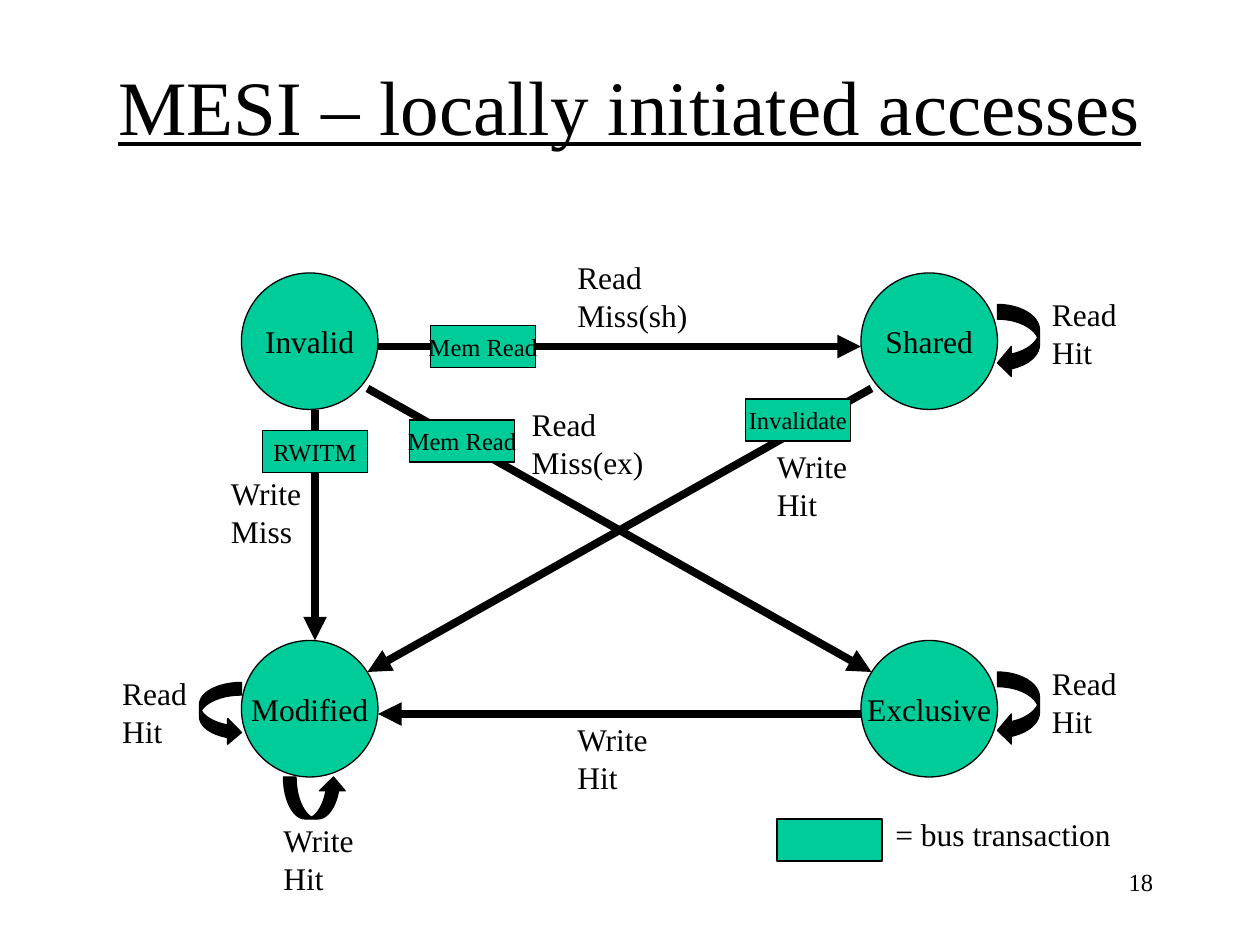
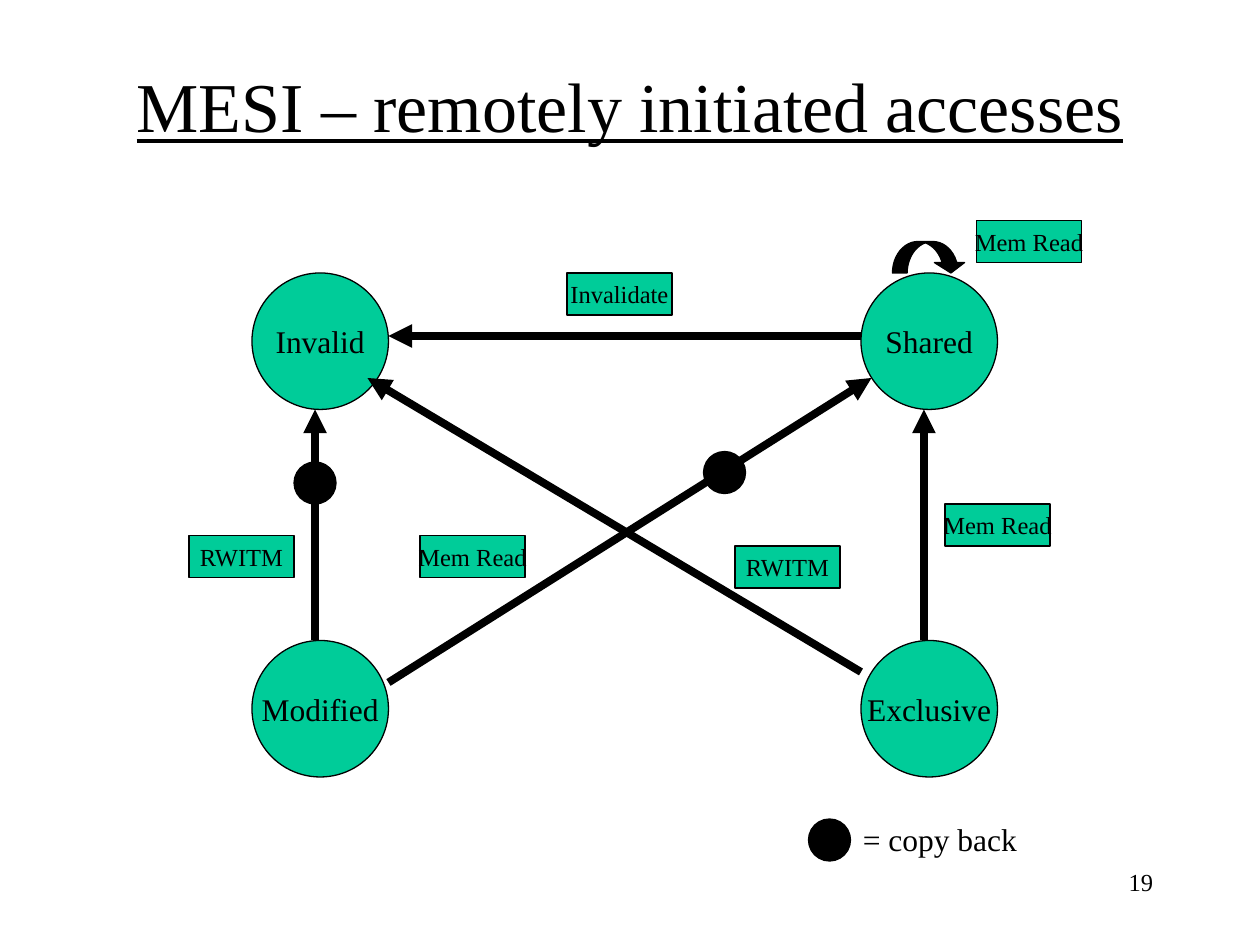
from lxml.etree import SubElement
from pptx import Presentation
from pptx.dml.color import RGBColor
from pptx.enum.shapes import MSO_CONNECTOR, MSO_SHAPE
from pptx.enum.text import MSO_ANCHOR, PP_ALIGN
from pptx.oxml.ns import qn
from pptx.util import Inches, Pt

WIDE, HIGH = 10, 7.5
COLS = 120
CELL = WIDE / COLS
FONT = "Times New Roman"
HUES = {"ink": "000000", "node": "00CC99"}
TITLE = (9, 2.5, 102, 15)
PAGE = (86, 82, 25, 6)
RING, DOT, TAG = (13, 13), (4, 4), (10, 4)
LEFT, RIGHT = MSO_SHAPE.CURVED_LEFT_ARROW, MSO_SHAPE.CURVED_RIGHT_ARROW
UP, DOWN = MSO_SHAPE.CURVED_UP_ARROW, MSO_SHAPE.CURVED_DOWN_ARROW
STATES = [("Invalid", 0, 0), ("Modified", 0, 1),
          ("Exclusive", 1, 1), ("Shared", 1, 0)]
ROWS = (26, 61)

SLIDES = [
    {
        "title": "MESI – locally initiated accesses", "size": 44, "page": 18,
        "cols": (23, 82),
        "lines": [(36, 33, 82, 33), (30, 39, 30, 61), (82, 68, 36, 68),
                  (35, 37, 83, 64), (83, 37, 35, 64)],
        "loops": [(LEFT, 95, 29, 4, 7), (LEFT, 95, 64, 4, 7),
                  (RIGHT, 19, 65, 4, 6), (UP, 27, 74, 6, 4)],
        "notes": [(["Read", "Hit"], 99, 27.5, 8.7),
                  (["Read", "Hit"], 99, 62.65, 8.7),
                  (["Read", "Hit"], 10.45, 63.6, 8.7),
                  (["Read", "Miss(sh)"], 53.8, 24, 13),
                  (["Read", "Miss(ex)"], 49.45, 38, 13.2),
                  (["Write", "Hit"], 25.8, 77.65, 9.3),
                  (["Write", "Hit"], 53.8, 68, 9.3),
                  (["Write", "Hit"], 72.8, 42, 9.3),
                  (["Write", "Miss"], 20.8, 44.6, 9.3),
                  (["= bus transaction"], 84.1, 77, 23)],
        "tags": [("RWITM", 25, 41), ("Invalidate", 71, 38),
                 ("Mem Read", 41, 31), ("Mem Read", 39, 40), ("", 74, 78)],
        "dots": [],
    },
    {
        "title": "MESI – remotely initiated accesses", "size": 40, "page": 19,
        "cols": (24, 82),
        "lines": [(30, 61, 30, 39), (82, 32, 37, 32), (88, 61, 88, 39),
                  (37, 65, 83, 36), (82, 64, 35, 36)],
        "loops": [(DOWN, 85, 23, 7, 3)],
        "notes": [(["= copy back"], 81, 77.5, 17.2)],
        "tags": [("Mem Read", 93, 21), ("Mem Read", 90, 48),
                 ("Mem Read", 40, 51), ("Invalidate", 54, 26),
                 ("RWITM", 70, 52), ("RWITM", 18, 51)],
        "dots": [(28, 44), (67, 43), (77, 78)],
    },
]


def cells(*nums):
    return [Inches(num * CELL) for num in nums]


def tint(name):
    return RGBColor.from_string(HUES[name])


def apply(item, form):
    for key, val in form.items():
        setattr(item, key, val)


def write(shape, lines, size, align, under=None, **form):
    frame = shape.text_frame
    base = {"word_wrap": False, "vertical_anchor": MSO_ANCHOR.MIDDLE}
    apply(frame, base | form)
    for pos, line in enumerate(lines):
        para = frame.add_paragraph() if pos else frame.paragraphs[0]
        para.alignment = align
        run = para.add_run()
        run.text = line
        apply(run.font, {"name": FONT, "size": Pt(size), "underline": under})
        run.font.color.rgb = tint("ink")


def draw(slide, kind, box, hue, text="", size=18):
    shape = slide.shapes.add_shape(kind, *cells(*box))
    shape.shadow.inherit = False
    shape.fill.solid()
    shape.fill.fore_color.rgb = tint(hue)
    shape.line.color.rgb = tint("ink")
    shape.line.width = Pt(0.75)
    if text:
        write(shape, [text], size, PP_ALIGN.CENTER)
    return shape


def arrow(slide, ends):
    line = slide.shapes.add_connector(MSO_CONNECTOR.STRAIGHT, *cells(*ends))
    line.line.color.rgb = tint("ink")
    line.line.width = Pt(4.5)
    SubElement(line.line._get_or_add_ln(), qn("a:tailEnd"), type="triangle")
    SubElement(line._element.spPr, qn("a:effectLst"))


def loop(slide, kind, *box):
    shape = draw(slide, kind, box, "ink")
    ratio = max(box[2:]) / min(box[2:])
    for pos, val in enumerate((0.2 * ratio, 0.41 * ratio, 0.33)):
        shape.adjustments[pos] = val


def label(slide, box, *args, **form):
    write(slide.shapes.add_textbox(*cells(*box)), *args, **form)


def build(deck, data):
    slide = deck.slides.add_slide(deck.slide_layouts[6])
    label(slide, PAGE, [str(data["page"])], 14, PP_ALIGN.RIGHT,
          word_wrap=True, vertical_anchor=MSO_ANCHOR.TOP)
    label(slide, TITLE, [data["title"]], data["size"], PP_ALIGN.CENTER,
          under=True, word_wrap=True)
    for name, col, row in STATES:
        spot = (data["cols"][col], ROWS[row])
        draw(slide, MSO_SHAPE.OVAL, spot + RING, "node", name)
    for ends in data["lines"]:
        arrow(slide, ends)
    for item in data["loops"]:
        loop(slide, *item)
    for lines, left, top, wide in data["notes"]:
        tall = 1.2 + 3.6 * len(lines)
        label(slide, (left, top, wide, tall), lines, 18, PP_ALIGN.LEFT,
              vertical_anchor=MSO_ANCHOR.TOP)
    for text, *spot in data["tags"]:
        draw(slide, MSO_SHAPE.RECTANGLE, (*spot, *TAG), "node", text, 14)
    for spot in data["dots"]:
        draw(slide, MSO_SHAPE.OVAL, spot + DOT, "ink")


def main():
    deck = Presentation()
    apply(deck, {"slide_width": Inches(WIDE), "slide_height": Inches(HIGH)})
    for data in SLIDES:
        build(deck, data)
    deck.save("out.pptx")


if __name__ == "__main__":
    main()
